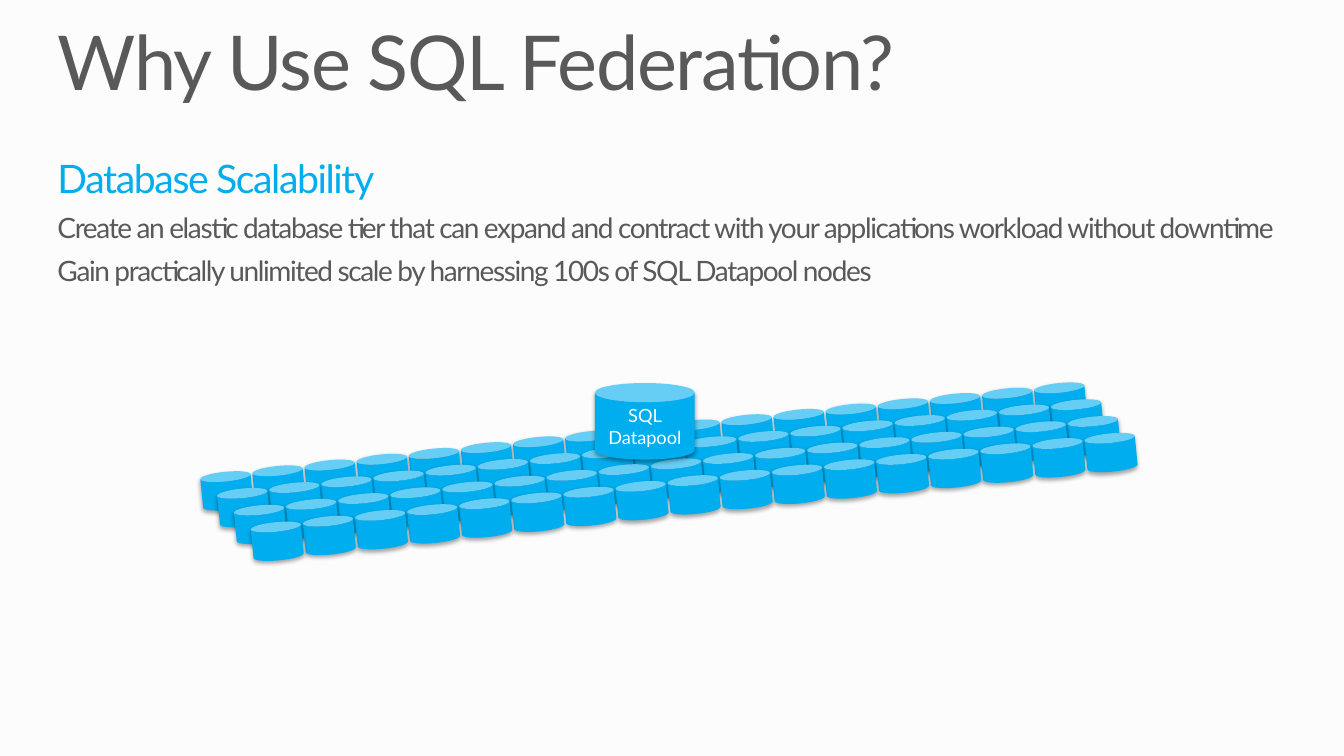
"""Build a slide on database scalability with a field of cans."""
from lxml.etree import fromstring
from pptx import Presentation
from pptx.dml.color import RGBColor as Rgb
from pptx.enum.shapes import MSO_SHAPE as Shape
from pptx.enum.text import MSO_ANCHOR as Anchor, MSO_AUTO_SIZE as Auto, PP_ALIGN as Align
from pptx.util import Inches, Pt

COLORS = {"back": "FCFCFC", "blue": "00AEEF", "gray": "595959", "white": "FFFFFF"}
FONT = "Lato"
TITLE = [("Why Use SQL Federation?", 54, "gray")]
BODY = [
    ("Database Scalability", 28, "blue"),
    ("Create an elastic database tier that can expand and contract "
     "with your applications workload without downtime", 20, "gray"),
    ("Gain practically unlimited scale by harnessing 100s of SQL Datapool nodes", 20, "gray"),
]
LABEL = [("SQL Datapool", 13, "white")]
TITLE_BOX = (0.57, 0.25, 12.19, 0.82)
BODY_BOX = (0.57, 1.58, 12.19, 2.56)
MAIN_BOX = (5.9, 3.8, 0.99, 0.76)
ROWS, COLS, HALF = 4, 17, 8
LEFT, RIGHT = 2.0, 10.27
TOPS = (4.68, 4.22, 3.8)
SHIFT = 0.5 / 3
CAN_SIZE = (0.5, 0.38)
TILT = 354.3
PLAIN = {"margin_left": 0, "margin_right": 0, "margin_top": 0, "margin_bottom": 0,
         "vertical_anchor": Anchor.TOP, "auto_size": Auto.SHAPE_TO_FIT_TEXT, "word_wrap": True}
MIDDLE = {"margin_left": Inches(0.1), "margin_right": Inches(0.1),
          "margin_top": Inches(0.05), "margin_bottom": Inches(0.05),
          "vertical_anchor": Anchor.MIDDLE, "word_wrap": True}
HEAD = {"alignment": Align.LEFT, "line_spacing": 0.9}
LIST = {**HEAD, "space_before": Pt(0), "space_after": Pt(9)}
CENTER = {"alignment": Align.CENTER}
SHADOW = """<a:outerShdw xmlns:a="http://schemas.openxmlformats.org/drawingml/2006/main"
 blurRad="39370" dist="22860" dir="5400000" rotWithShape="0">
 <a:srgbClr val="000000"><a:alpha val="35000"/></a:srgbClr></a:outerShdw>"""


def color(name):
    return Rgb.from_string(COLORS[name])


def apply(item, values):
    for key, value in values.items():
        setattr(item, key, value)


def write(shape, lines, frame, para, track=0):
    text = shape.text_frame
    apply(text, frame)
    for i, (words, size, tint) in enumerate(lines):
        line = text.paragraphs[0] if i == 0 else text.add_paragraph()
        apply(line, para)
        run = line.add_run()
        run.text = words
        apply(run.font, {"name": FONT, "size": Pt(size)})
        run.font.color.rgb = color(tint)
        if track:
            run._r.get_or_add_rPr().set("spc", str(track))


def add_can(slide, box, tilt=0):
    can = slide.shapes.add_shape(Shape.CAN, *map(Inches, box))
    can.rotation = tilt
    can.fill.solid()
    can.fill.fore_color.rgb = color("blue")
    can.line.fill.background()
    can.shadow.inherit = False
    can._element.spPr.find("{*}effectLst").append(fromstring(SHADOW))
    return can


def top_at(col):
    part, step = divmod(col, HALF)
    if step == 0:
        return TOPS[part]
    return TOPS[part] + (TOPS[part + 1] - TOPS[part]) * step / HALF


def main():
    deck = Presentation()
    deck.slide_width, deck.slide_height = Inches(13.33), Inches(7.5)
    slide = deck.slides.add_slide(deck.slide_layouts[5])
    slide.background.fill.solid()
    slide.background.fill.fore_color.rgb = color("back")

    title = slide.shapes.title
    apply(title, dict(zip(("left", "top", "width", "height"), map(Inches, TITLE_BOX))))
    write(title, TITLE, PLAIN, HEAD, -100)
    body = slide.shapes.add_textbox(*map(Inches, BODY_BOX))
    write(body, BODY, PLAIN, LIST, -100)

    gap = (RIGHT - LEFT) / (COLS - 1)
    for row in range(ROWS):
        for col in reversed(range(COLS)):
            left = LEFT + col * gap + row * SHIFT
            add_can(slide, (left, top_at(col) + row * SHIFT, *CAN_SIZE), TILT)
    write(add_can(slide, MAIN_BOX), LABEL, MIDDLE, CENTER)
    deck.save("out.pptx")


if __name__ == "__main__":
    main()
